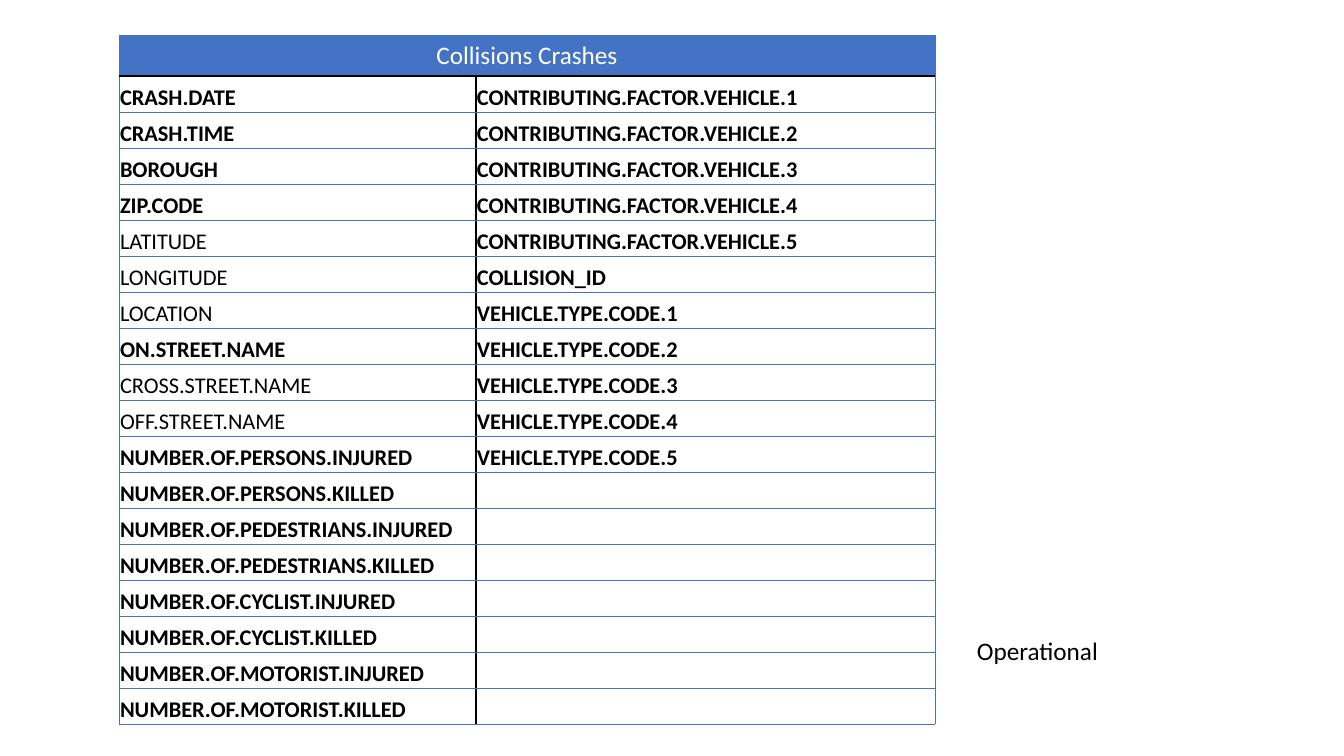
import pptx
import pptx.util
import pptx.dml.color
import pptx.enum.text
import pptx.oxml
import pptx.oxml.ns

COLORS = {"blue": "4472C4", "black": "000000", "white": "FFFFFF"}
TITLE = "Collisions Crashes"
PEOPLE = ["PERSONS", "PEDESTRIANS", "CYCLIST", "MOTORIST"]
LEFT = ["CRASH.DATE", "CRASH.TIME", "BOROUGH", "ZIP.CODE", "LATITUDE",
        "LONGITUDE", "LOCATION", "ON.STREET.NAME", "CROSS.STREET.NAME",
        "OFF.STREET.NAME"]
LEFT += [f"NUMBER.OF.{who}.{harm}" for who in PEOPLE for harm in ("INJURED", "KILLED")]
RIGHT = [f"CONTRIBUTING.FACTOR.VEHICLE.{n}" for n in range(1, 6)]
RIGHT += ["COLLISION_ID"] + [f"VEHICLE.TYPE.CODE.{n}" for n in range(1, 6)]
RIGHT += [""] * (len(LEFT) - len(RIGHT))
PLAIN = {"LATITUDE", "LONGITUDE", "LOCATION", "CROSS.STREET.NAME", "OFF.STREET.NAME"}
THIN = ("blue", 0.5)
THICK = ("black", 1)


class Deck:
    font = "Calibri"
    scale = 914400 / 100.8

    def __init__(self, width, height):
        self.file = pptx.Presentation()
        self.file.slide_width = self.px(width)
        self.file.slide_height = self.px(height)
        self.slide = self.file.slides.add_slide(self.file.slide_layouts[6])

    def px(self, size):
        return pptx.util.Emu(round(size * self.scale))

    def run(self, para, text, size, color="black", bold=False):
        run = para.add_run()
        run.text = text
        run.font.name = self.font
        run.font.size = pptx.util.Pt(size)
        run.font.bold = bold
        run.font.color.rgb = pptx.dml.color.RGBColor.from_string(COLORS[color])

    def label(self, text, box, size):
        frame = self.slide.shapes.add_textbox(*map(self.px, box)).text_frame
        frame.word_wrap = False
        frame.auto_size = pptx.enum.text.MSO_AUTO_SIZE.SHAPE_TO_FIT_TEXT
        self.run(frame.paragraphs[0], text, size)

    def edges(self, cell, left, right, top, bottom):
        props = cell._tc.get_or_add_tcPr()
        for side, (color, width) in zip("LRTB", (left, right, top, bottom)):
            props.append(pptx.oxml.parse_xml(
                f'<a:ln{side} {pptx.oxml.ns.nsdecls("a")} w="{pptx.util.Pt(width)}">'
                f'<a:solidFill><a:srgbClr val="{COLORS[color]}"/></a:solidFill>'
                f'</a:ln{side}>'))

    def head(self, grid, text):
        for cell in grid.rows[0].cells:
            self.edges(cell, THIN, THIN, THIN, THICK)
            cell.fill.solid()
            cell.fill.fore_color.rgb = pptx.dml.color.RGBColor.from_string(COLORS["blue"])
        cell = grid.cell(0, 0)
        cell.merge(grid.cell(0, 1))
        para = cell.text_frame.paragraphs[0]
        para.alignment = pptx.enum.text.PP_ALIGN.CENTER
        self.run(para, text, 18, "white")

    def entry(self, cell, text, col, first):
        cell.margin_left = cell.margin_right = cell.margin_top = self.px(1)
        cell.margin_bottom = 0
        cell.vertical_anchor = pptx.enum.text.MSO_ANCHOR.BOTTOM
        sides = (THICK, THIN) if col else (THIN, THICK)
        self.edges(cell, *sides, THICK if first else THIN, THIN)
        cell.fill.background()
        if text:
            self.run(cell.text_frame.paragraphs[0], text, 16, bold=text not in PLAIN)

    def table(self, title, pairs, left, top, widths, tall, step):
        count = len(pairs)
        box = (left, top, sum(widths), tall + step * count)
        grid = self.slide.shapes.add_table(count + 1, 2, *map(self.px, box)).table
        grid.first_row = grid.horz_banding = False
        for col, width in zip(grid.columns, widths):
            col.width = self.px(width)
        for row, height in zip(grid.rows, [tall] + [step] * count):
            row.height = self.px(height)
        self.head(grid, title)
        for row, pair in enumerate(pairs, 1):
            for col, text in enumerate(pair):
                self.entry(grid.cell(row, col), text, col, row == 1)


def main():
    deck = Deck(1344, 756)
    deck.table(TITLE, list(zip(LEFT, RIGHT)), 119, 35, (357, 459), 41, 36)
    deck.label("Operational", (967, 630, 143, 40), 18)
    deck.file.save("out.pptx")


if __name__ == "__main__":
    main()
